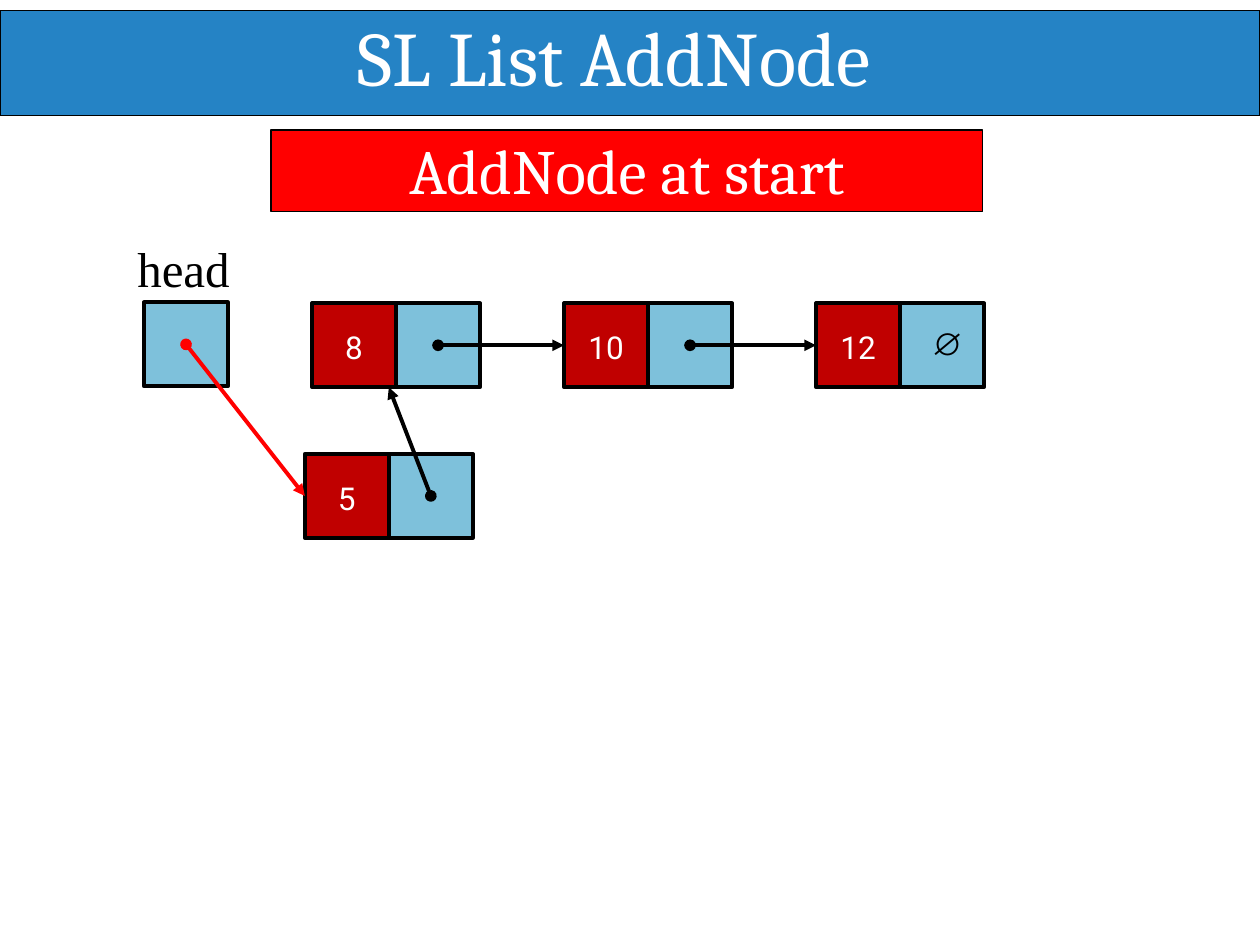
from dataclasses import dataclass

from lxml.etree import SubElement
from pptx import Presentation
from pptx.dml.color import RGBColor as RGB
from pptx.enum.shapes import MSO_CONNECTOR as Connector, MSO_SHAPE as Shape
from pptx.enum.text import MSO_ANCHOR as Anchor, MSO_AUTO_SIZE as AutoSize, PP_ALIGN as Align
from pptx.oxml.ns import qn
from pptx.util import Pt


@dataclass(frozen=True)
class Theme:
    banner: RGB = RGB(0x25, 0x83, 0xC5)
    red: RGB = RGB(0xFF, 0, 0)
    value: RGB = RGB(0xC0, 0, 0)
    pointer: RGB = RGB(0x7E, 0xC1, 0xDB)
    black: RGB = RGB(0, 0, 0)
    white: RGB = RGB(0xFF, 0xFF, 0xFF)
    heading_font: str = "Cambria"
    label_font: str = "Times New Roman"
    value_font: str = "Roboto"
    symbol_font: str = "Arial"
    title_size: float = 44
    subtitle_size: float = 36
    label_size: float = 28
    value_size: float = 18
    thin: float = 0.75
    thick: float = 2.25


THEME = Theme()

# Content
TITLE = ["SL List ", "AddNode"]
SUBTITLE = ["AddNode at", " start"]
HEAD_LABEL = "head"
LIST_VALUES = ["8", "10", "12"]
NEW_VALUE = "5"
NULL = "∅"

# Geometry in points
CELL = 48
NODE_STEP = 3 * CELL
LIST_LEFT, LIST_TOP = 178.3, 173.3
HEAD_LEFT, HEAD_TOP = 82.3, 172.8
NEW_LEFT, NEW_TOP = 174.2, 259.4


def write(shape, texts, font, size, color, top=0, align=Align.LEFT, left=0):
    frame = shape.text_frame
    frame.word_wrap = True
    frame.auto_size = AutoSize.NONE
    frame.vertical_anchor = Anchor.TOP
    frame.margin_left, frame.margin_top = Pt(left), Pt(top)
    frame.margin_right = frame.margin_bottom = 0
    para = frame.paragraphs[0]
    para.alignment = align
    para.space_before = Pt(0)
    for text in texts:
        span = para.add_run()
        span.text = text
        span.font.name, span.font.size = font, Pt(size)
        span.font.color.rgb = color


def add_box(page, left, top, width, height, fill, line_width):
    box = page.shapes.add_shape(Shape.RECTANGLE, Pt(left), Pt(top), Pt(width), Pt(height))
    box.shadow.inherit = False
    box.fill.solid()
    box.fill.fore_color.rgb = fill
    box.line.color.rgb = THEME.black
    box.line.width = Pt(line_width)
    return box


def add_cell(page, left, top, fill):
    return add_box(page, left, top, CELL, CELL, fill, THEME.thick)


def add_node(page, left, top, value):
    """Draw a value cell beside a pointer cell and return the pointer cell."""
    pointer = add_cell(page, left + CELL, top, THEME.pointer)
    write(add_cell(page, left, top, THEME.value), [value], THEME.value_font,
          THEME.value_size, THEME.white, top=14.2, align=Align.CENTER)
    return pointer


def add_pointer(page, cell_left, cell_top, tip, color):
    """Draw an arrow from a dot in the middle of a cell to the tip."""
    start = cell_left + CELL / 2, cell_top + CELL / 2
    arrow = page.shapes.add_connector(Connector.STRAIGHT, *map(Pt, start + tip))
    arrow.line.color.rgb = color
    arrow.line.width = Pt(THEME.thick)
    line = arrow.line._get_or_add_ln()
    for end, kind in (("a:headEnd", "oval"), ("a:tailEnd", "triangle")):
        SubElement(line, qn(end), type=kind, w="med", len="med")
    SubElement(arrow.element.spPr, qn("a:effectLst"))


def add_headings(page):
    banner = add_box(page, 0, 6, 720, 60, THEME.banner, THEME.thin)
    title = page.shapes.title
    title.element.addprevious(banner.element)
    title.left, title.top, title.width, title.height = map(Pt, (67.7, 4.3, 584.6, 57.6))
    write(title, TITLE, THEME.heading_font, THEME.title_size, THEME.white, top=1, left=136.8)

    subtitle = add_box(page, 154.8, 74.3, 406.8, 46.5, THEME.red, THEME.thin)
    write(subtitle, SUBTITLE, THEME.heading_font, THEME.subtitle_size, THEME.white,
          top=0.7, align=Align.CENTER)


def add_linked_list(page):
    label = page.shapes.add_textbox(Pt(77.8), Pt(135.4), Pt(56), Pt(35.3))
    write(label, [HEAD_LABEL], THEME.label_font, THEME.label_size, THEME.black, top=0.9, left=0.7)
    add_cell(page, HEAD_LEFT, HEAD_TOP, THEME.pointer)

    lefts = [LIST_LEFT + NODE_STEP * i for i in range(len(LIST_VALUES))]
    for left, value in zip(lefts, LIST_VALUES):
        last_pointer = add_node(page, left, LIST_TOP, value)
    write(last_pointer, [NULL], THEME.symbol_font, THEME.value_size, THEME.black, top=11.8, left=18)
    add_node(page, NEW_LEFT, NEW_TOP, NEW_VALUE)

    for left, following in zip(lefts, lefts[1:]):
        add_pointer(page, left + CELL, LIST_TOP, (following, LIST_TOP + CELL / 2), THEME.black)
    add_pointer(page, HEAD_LEFT, HEAD_TOP, (NEW_LEFT, NEW_TOP + CELL / 2), THEME.red)
    add_pointer(page, NEW_LEFT + CELL, NEW_TOP, (NEW_LEFT + CELL, LIST_TOP + CELL), THEME.black)


def main():
    deck = Presentation()
    deck.slide_width, deck.slide_height = Pt(720), Pt(540)
    page = deck.slides.add_slide(deck.slide_layouts[5])
    add_headings(page)
    add_linked_list(page)
    deck.save("out.pptx")


if __name__ == "__main__":
    main()
